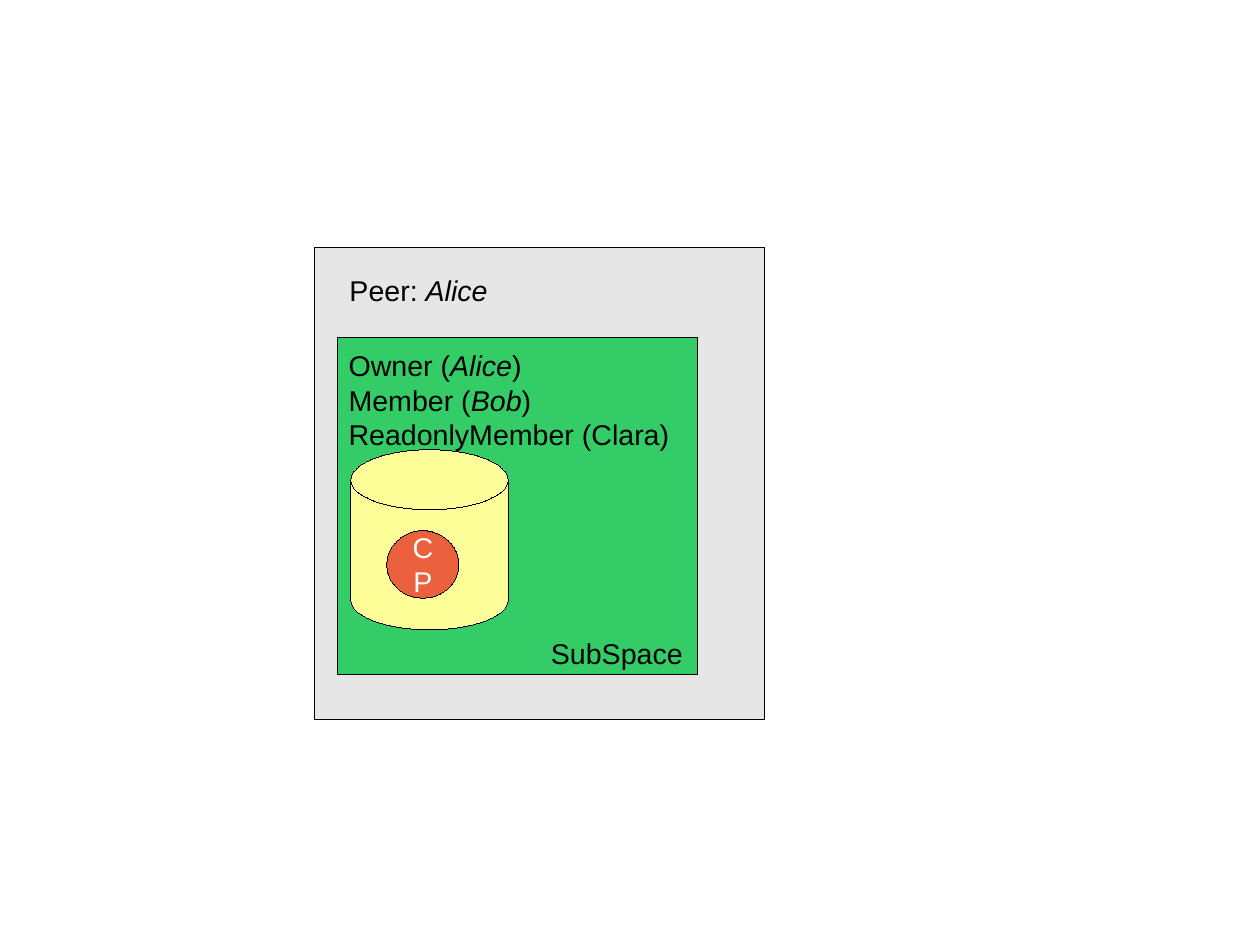
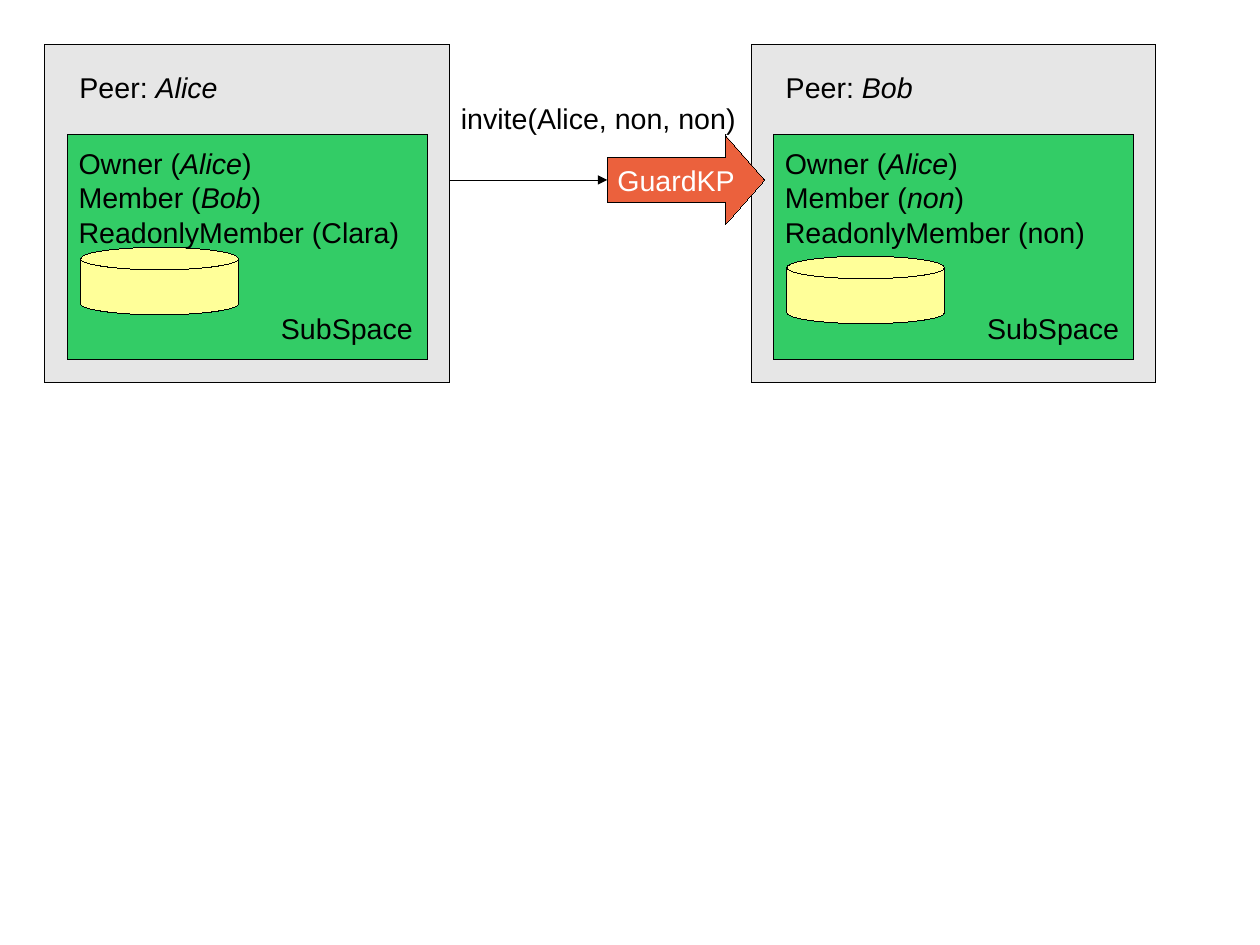
from dataclasses import dataclass

from lxml import etree
from pptx import Presentation
from pptx.dml.color import RGBColor
from pptx.enum.shapes import MSO_CONNECTOR, MSO_SHAPE
from pptx.enum.text import MSO_ANCHOR, MSO_AUTO_SIZE, PP_ALIGN
from pptx.oxml.ns import qn
from pptx.util import Pt

RECT, DISK = MSO_SHAPE.RECTANGLE, MSO_SHAPE.FLOWCHART_MAGNETIC_DISK
OVAL, ARROW = MSO_SHAPE.OVAL, MSO_SHAPE.RIGHT_ARROW
STRAIGHT = MSO_CONNECTOR.STRAIGHT
LEFT, CENTER = PP_ALIGN.LEFT, PP_ALIGN.CENTER
TOP, MIDDLE = MSO_ANCHOR.TOP, MSO_ANCHOR.MIDDLE
GROW = MSO_AUTO_SIZE.SHAPE_TO_FIT_TEXT


@dataclass(frozen=True)
class Theme:
    font: str = "Arial"
    size: float = 18
    ink: str = "000000"
    light: str = "FFFFFF"
    peer: str = "E6E6E6"
    space: str = "33CC66"
    disk: str = "FFFF99"
    accent: str = "EB613D"


THEME = Theme()

# Content: text between asterisks is italic; boxes are (left, top, width, height)
ALICE_ROLES = ["Owner (*Alice*)", "Member (*Bob*)", "ReadonlyMember (Clara)"]
BOB_ROLES = ["Owner (*Alice*)", "Member (*non*)", "ReadonlyMember (non)"]

SINGLE_PEER = dict(name="Alice", roles=ALICE_ROLES, box=(198.4, 155.8, 283.5, 297.6),
                   space_h=212.6, disk_dy=70.9, disk_h=113.4, label_up=28.3,
                   knowledge_port="CP")
SMALL_PEER = dict(space_h=141.7, disk_h=42.5, label_up=34)
PEER_PAIR = [
    dict(SMALL_PEER, name="Alice", roles=ALICE_ROLES, box=(28.3, 28.3, 255, 212.6),
         disk_dy=70.9),
    dict(SMALL_PEER, name="Bob", roles=BOB_ROLES, box=(473.2, 28.3, 255, 212.6),
         disk_dy=76.5),
]
INVITE = "invite(Alice, non, non)"
GUARD = "GuardKP"

# Layout shared by every peer
SPACE_DX, SPACE_DY, SPACE_W = 14.1, 56.6, 226.8
DISK_DX, DISK_W = 8.5, 99.2
PORT_DX, PORT_DY, PORT_W, PORT_H = 22.7, 51, 45.4, 42.5
LABEL_W = {"Alice": 102, "Bob": 95}


def write(sp, lines, color, align, anchor, wrap):
    tf = sp.text_frame
    tf.word_wrap, tf.vertical_anchor = wrap, anchor
    for i, line in enumerate(lines):
        p = tf.add_paragraph() if i else tf.paragraphs[0]
        p.alignment = align
        for j, part in enumerate(line.split("*")):
            if part:
                r = p.add_run()
                r.text = part
                r.font.name, r.font.size = THEME.font, Pt(THEME.size)
                r.font.italic = j % 2 == 1
                r.font.color.rgb = RGBColor.from_string(color)


def add_label(s, box, lines, wrap=False):
    sp = s.shapes.add_textbox(*map(Pt, box))
    write(sp, lines, THEME.ink, LEFT, TOP, wrap)
    sp.text_frame.auto_size = GROW


def style_hairline(line):
    line.color.rgb = RGBColor.from_string(THEME.ink)
    ln = line._get_or_add_ln()
    ln.set("w", "0")  # line.width = 0 would fall back to the theme width
    return ln


def add_block(s, kind, box, fill, text=None, wrap=True):
    sp = s.shapes.add_shape(kind, *map(Pt, box))
    sp.shadow.inherit = False
    sp.fill.solid()
    sp.fill.fore_color.rgb = RGBColor.from_string(fill)
    style_hairline(sp.line)
    if text:
        write(sp, [text], THEME.light, CENTER, MIDDLE, wrap)
    return sp


def add_arrow(s, x1, y1, x2, y2):
    cx = s.shapes.add_connector(STRAIGHT, Pt(x1), Pt(y1), Pt(x2), Pt(y2))
    etree.SubElement(style_hairline(cx.line), qn("a:tailEnd"), type="triangle")
    etree.SubElement(cx._element.spPr, qn("a:effectLst"))


def add_peer(s, name, roles, box, space_h, disk_dy, disk_h, label_up,
             knowledge_port=None):
    x, y = box[:2]
    sx, sy = x + SPACE_DX, y + SPACE_DY
    dx, dy = sx + DISK_DX, sy + disk_dy
    add_block(s, RECT, box, THEME.peer)
    add_block(s, RECT, (sx, sy, SPACE_W, space_h), THEME.space)
    add_block(s, DISK, (dx, dy, DISK_W, disk_h), THEME.disk)
    if knowledge_port:
        add_block(s, OVAL, (dx + PORT_DX, dy + PORT_DY, PORT_W, PORT_H),
                  THEME.accent, knowledge_port)
    add_label(s, (sx, sy + 3.5, SPACE_W, 67.7), roles, wrap=True)
    add_label(s, (sx + 127.5, sy + space_h - label_up, 98, 27.4), ["SubSpace"])
    add_label(s, (x + 14.7, y + 12.5, LABEL_W[name], 27.4), [f"Peer: *{name}*"])


def main():
    prs = Presentation()
    prs.slide_width, prs.slide_height = Pt(793.75), Pt(595.25)
    blank = prs.slide_layouts[6]

    # Slide 1: one peer with its subspace
    add_peer(prs.slides.add_slide(blank), **SINGLE_PEER)

    # Slide 2: Alice invites Bob
    s = prs.slides.add_slide(blank)
    alice, bob = PEER_PAIR
    guard_x, guard_y, _, guard_h = guard_box = (382.6, 85, 99.2, 56.7)
    alice_right = alice["box"][0] + alice["box"][2]
    mid_y = guard_y + guard_h / 2
    add_peer(s, **alice)
    add_arrow(s, alice_right, mid_y, guard_x, mid_y)
    add_label(s, (alice_right, 60, 241, 27.4), [INVITE], wrap=True)
    add_peer(s, **bob)
    guard = add_block(s, ARROW, guard_box, THEME.accent, GUARD, wrap=False)
    guard.adjustments[0], guard.adjustments[1] = 0.5, 0.44

    prs.save("out.pptx")


if __name__ == "__main__":
    main()
